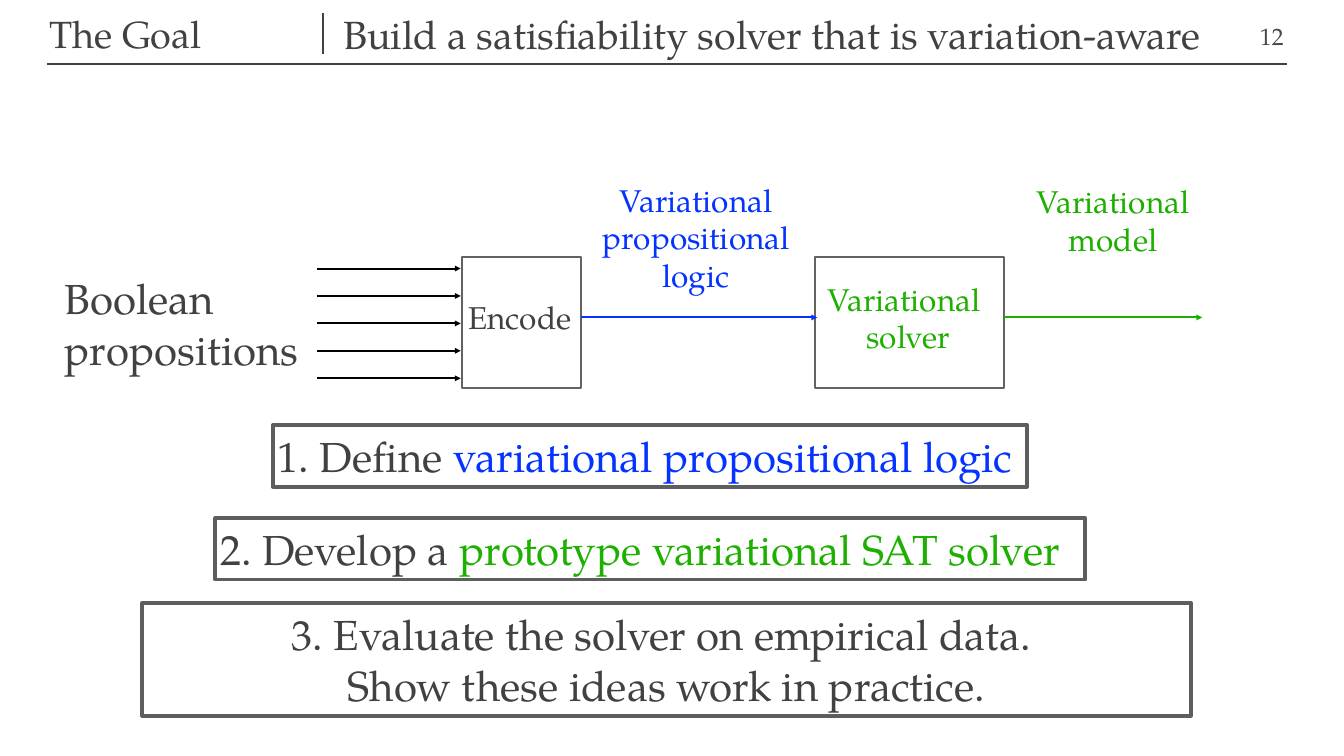
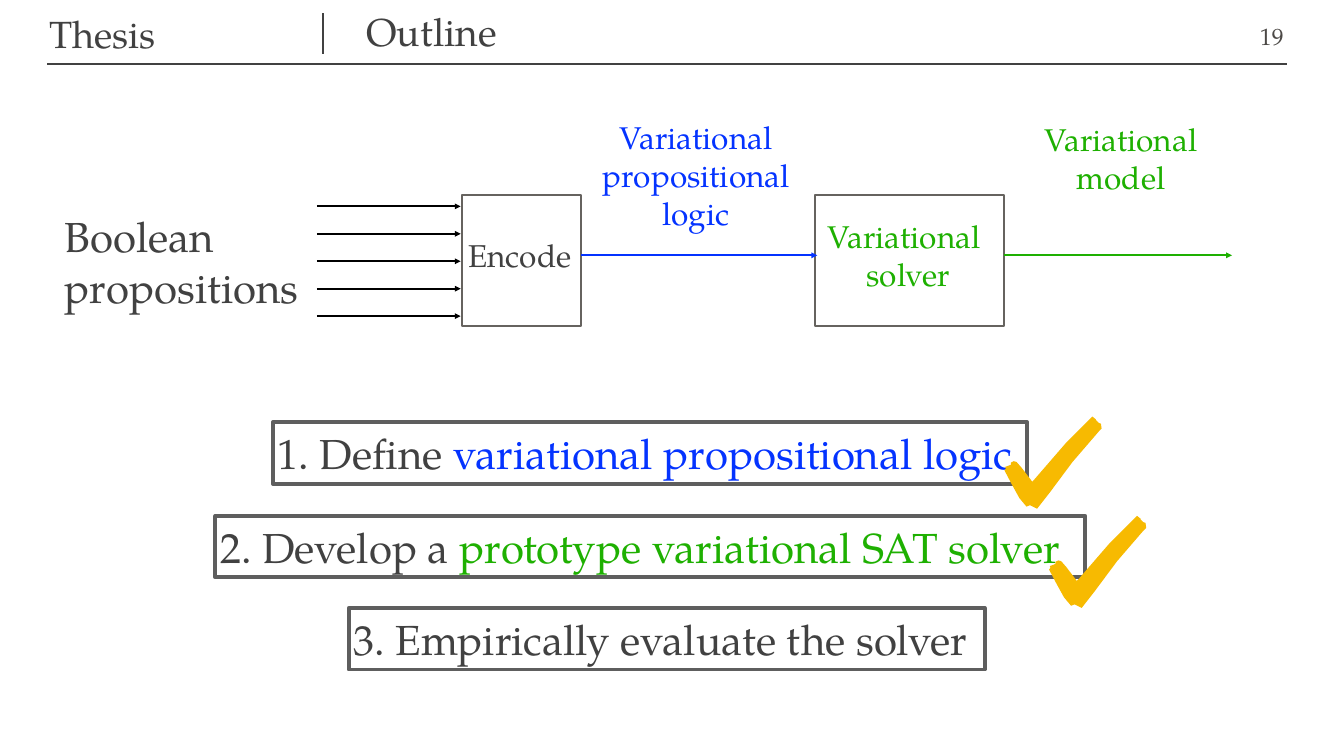
"""Build two thesis slides: the goal and the outline of a variational solver."""
from dataclasses import dataclass
from typing import NamedTuple

from lxml.etree import SubElement as sub
from pptx import Presentation
from pptx.dml.color import RGBColor as Rgb
from pptx.enum.shapes import MSO_CONNECTOR as Link, MSO_SHAPE as Form
from pptx.enum.text import MSO_ANCHOR as Anchor, MSO_AUTO_SIZE as Fit, PP_ALIGN as Align
from pptx.oxml.ns import qn
from pptx.shapes.base import BaseShape as Shape
from pptx.slide import Slide
from pptx.util import Emu, Inches, Pt

WIDE, HIGH = Inches(18.96), Inches(10.67)


@dataclass(frozen=True)
class Theme:
    """Colours, type sizes and line widths."""
    font: str = "TeX Gyre Pagella"
    ink: str = "414141"
    page: str = "4C4946"
    blue: str = "0433FF"
    green: str = "1EB001"
    black: str = "000000"
    edge: str = "66635F"
    frame: str = "5E5E5E"
    gold: str = "F7BA01"
    title: float = 38.4
    head: float = 40
    topic: float = 39.5
    body: float = 42.7
    label: float = 32
    small: float = 24
    thin: float = 2
    thick: float = 4


T = Theme()


class Box(NamedTuple):
    """Left, top, width and height in percent of the slide."""
    x: float
    y: float
    w: float
    h: float

    def emu(self) -> tuple[Emu, Emu, Emu, Emu]:
        """Return the box in slide units."""
        return across(self.x), down(self.y), across(self.w), down(self.h)


class Run(NamedTuple):
    """Words in one colour."""
    words: str
    hue: str = T.ink


Lines = tuple[tuple[Run, ...], ...]


@dataclass(frozen=True)
class Style:
    """How a text sits in its box."""
    size: float
    align: Align = Align.CENTER
    wrap: bool = True
    grow: bool = True
    inset: float = 0.07
    anchor: Anchor = Anchor.MIDDLE
    space: float | None = None


@dataclass(frozen=True)
class Goal:
    """A framed goal."""
    box: Box
    lines: Lines
    align: Align = Align.LEFT


@dataclass(frozen=True)
class Page:
    """What differs from slide to slide."""
    title: str
    head: str
    spot: Box
    look: Style
    num: str
    top: float
    end: float
    model: Box
    goals: tuple[Goal, ...]
    ticks: tuple[tuple[float, float], ...] = ()


LABEL = Style(T.label)
TIGHT = Style(T.label, wrap=False)
TITLE = Style(T.title, Align.LEFT, grow=False, inset=0.06)
NUMBER = Style(T.small, wrap=False, inset=0.06, anchor=Anchor.TOP)
INPUT = Style(T.body, Align.LEFT, grow=False)
TICK = (
    (124, 0), (86, 38), (41, 90), (39, 92), (37, 89), (24, 72), (17, 64),
    (13, 63), (9, 65), (9, 68), (1, 71), (2, 73), (0, 76), (10, 95),
    (21, 115), (31, 127), (36, 125), (46, 130), (64, 107), (96, 64),
    (133, 21), (137, 17), (136, 10), (133, 9), (129, 5), (129, 4),
)


def across(share: float) -> Emu:
    """Turn a percent of the width into slide units."""
    return Emu(round(WIDE * share / 100))


def down(share: float) -> Emu:
    """Turn a percent of the height into slide units."""
    return Emu(round(HIGH * share / 100))


def tint(hue: str) -> Rgb:
    """Return a colour from its hex code."""
    return Rgb.from_string(hue)


def write(shape: Shape, lines: Lines, style: Style) -> None:
    """Fill a shape with styled lines of text."""
    frame = shape.text_frame
    frame.word_wrap = style.wrap
    frame.auto_size = Fit.SHAPE_TO_FIT_TEXT if style.grow else Fit.NONE
    frame.vertical_anchor = style.anchor
    frame.margin_left = frame.margin_right = Inches(style.inset)
    frame.margin_top = frame.margin_bottom = Inches(style.inset)
    for i, runs in enumerate(lines):
        para = frame.add_paragraph() if i else frame.paragraphs[0]
        para.alignment = style.align
        if style.space:
            para.line_spacing = style.space
        para.font.name = T.font
        para.font.size = Pt(style.size)
        para.font.color.rgb = tint(runs[0].hue)
        for item in runs:
            run = para.add_run()
            run.text = item.words
            if len(runs) > 1:
                run.font.color.rgb = tint(item.hue)


def text(slide: Slide, box: Box, lines: Lines, style: Style) -> None:
    """Add a text box."""
    write(slide.shapes.add_textbox(*box.emu()), lines, style)


def rect(slide: Slide, box: Box, hue: str, width: float) -> Shape:
    """Add an outlined rectangle."""
    shape = slide.shapes.add_shape(Form.RECTANGLE, *box.emu())
    shape.shadow.inherit = False
    shape.fill.background()
    shape.line.color.rgb = tint(hue)
    shape.line.width = Pt(width)
    return shape


def line(slide: Slide, start: tuple[float, float], end: tuple[float, float],
         hue: str, arrow: bool = True) -> None:
    """Add a straight line, with or without an arrowhead."""
    (x1, y1), (x2, y2) = start, end
    link = slide.shapes.add_connector(
        Link.STRAIGHT, across(x1), down(y1), across(x2), down(y2))
    link.line.color.rgb = tint(hue)
    link.line.width = Pt(T.thin)
    if arrow:
        sub(link.line._get_or_add_ln(), qn("a:tailEnd"), type="triangle")
    sub(link._element.spPr, qn("a:effectLst"))


def tick(slide: Slide, x: float, y: float) -> None:
    """Add a gold tick."""
    pen = slide.shapes.build_freeform(*TICK[0], scale=Inches(0.01))
    pen.add_line_segments(TICK[1:], close=True)
    shape = pen.convert_to_shape(across(x), down(y))
    shape.shadow.inherit = False
    shape.fill.solid()
    shape.fill.fore_color.rgb = tint(T.gold)
    shape.line.fill.background()


def header(slide: Slide, page: Page) -> None:
    """Draw the title band with its rules and page number."""
    line(slide, (95.73, 8.43), (3.53, 8.43), T.ink, arrow=False)
    line(slide, (24, 7.12), (24, 1.69), T.ink, arrow=False)
    text(slide, Box(3.36, 1.12, 17.67, 6.65), ((Run(page.title),),), TITLE)
    text(slide, page.spot, ((Run(page.head),),), page.look)
    text(slide, Box(92.83, 2.34, 3.6, 4.87), ((Run(page.num, T.page),),), NUMBER)


def chain(slide: Slide, page: Page) -> None:
    """Draw the path from propositions to the model."""
    top = page.top
    mid = top + 7.97
    for x, w in ((34.39, 8.81), (60.65, 14.03)):
        rect(slide, Box(x, top, w, 17.34), T.edge, T.thin)
    for i in range(5):
        y = top + 1.5 + 3.63 * i
        line(slide, (23.58, y), (34.28, y), T.black)
    line(slide, (43.25, mid), (60.81, mid), T.blue)
    line(slide, (74.68, mid), (page.end, mid), T.green)
    text(slide, Box(4.43, top + 0.78, 18.93, 15.93),
         ((Run("Boolean propositions"),),), INPUT)
    text(slide, Box(34.42, top + 4.69, 8.54, 6.47), ((Run("Encode"),),), TIGHT)
    text(slide, Box(61.03, top + 2.2, 13.08, 11.53),
         ((Run("Variational ", T.green),), (Run("solver", T.green),)), TIGHT)
    text(slide, Box(44.41, top - 10.92, 14.77, 16.59),
         ((Run("Variational propositional logic", T.blue),),), LABEL)
    text(slide, page.model, ((Run("Variational model", T.green),),), LABEL)


def draw(slide: Slide, page: Page) -> None:
    """Draw one slide."""
    header(slide, page)
    chain(slide, page)
    for goal in page.goals:
        shape = rect(slide, goal.box, T.frame, T.thick)
        write(shape, goal.lines, Style(T.body, goal.align))
    for x, y in page.ticks:
        tick(slide, x, y)


def pair(first: float, second: float) -> tuple[Goal, Goal]:
    """Return the two goals that both slides show."""
    return (
        Goal(Box(20.31, first, 56.12, 8.15),
             ((Run("1. Define "), Run("variational propositional logic", T.blue)),)),
        Goal(Box(16.03, second, 64.72, 8.15),
             ((Run("2. Develop a "), Run("prototype variational SAT solver", T.green)),)),
    )


PAGES = (
    Page("The Goal", "Build a satisfiability solver that is variation-aware",
         Box(25.16, 0.1, 69.94, 8.72),
         Style(T.head, Align.LEFT, wrap=False, grow=False),
         "12", 34.02, 89.45, Box(76.21, 23.34, 13.24, 11.53),
         (*pair(56.23, 68.51),
          Goal(Box(10.6, 79.76, 78.01, 14.9),
               ((Run("3. Evaluate the solver on empirical data. "),),
                (Run("Show these ideas work in practice."),)), Align.CENTER))),
    Page("Thesis", "Outline", Box(26.95, 1.12, 63.55, 6.65),
         Style(T.topic, Align.LEFT, grow=False, inset=0.06, space=0.9),
         "19", 25.8, 91.67, Box(76.42, 15.09, 13.98, 11.53),
         (*pair(55.86, 68.23),
          Goal(Box(25.95, 80.41, 47.31, 8.15),
               ((Run("3. Empirically evaluate the solver"),),))),
         ((74.74, 55.11), (78.06, 68.23))),
)


def main() -> None:
    """Build and save the deck."""
    deck = Presentation()
    deck.slide_width, deck.slide_height = WIDE, HIGH
    for page in PAGES:
        draw(deck.slides.add_slide(deck.slide_layouts[6]), page)
    deck.save("out.pptx")


if __name__ == "__main__":
    main()
